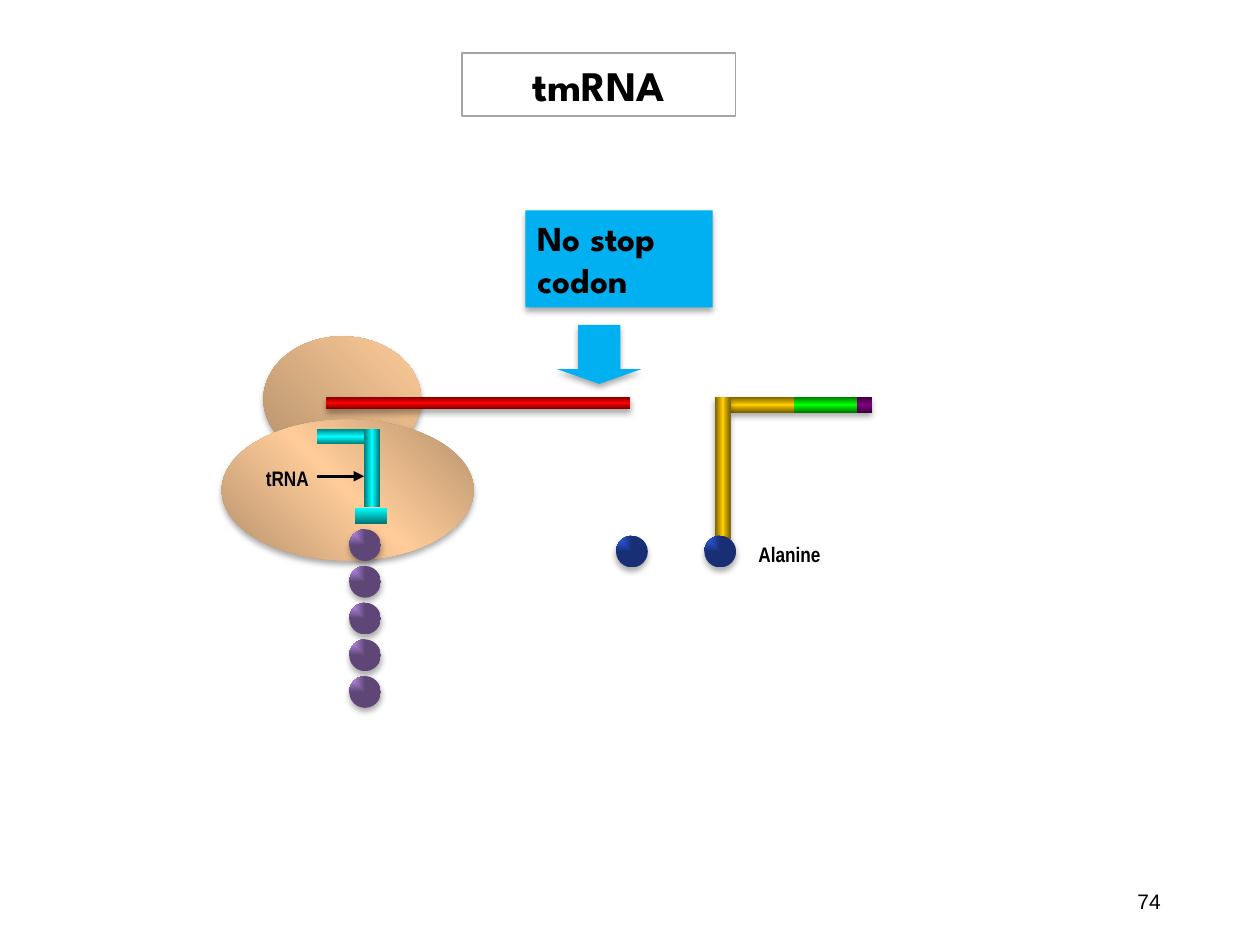
from dataclasses import dataclass

from pptx import Presentation
from pptx.dml.color import RGBColor
from pptx.enum.shapes import MSO_CONNECTOR as Connector, MSO_SHAPE as Shape
from pptx.enum.text import MSO_ANCHOR as Anchor, PP_ALIGN as Align
from pptx.oxml import parse_xml
from pptx.oxml.ns import nsdecls, qn
from pptx.util import Cm, Pt

BLACK, SKY = "000000", "00B0F0"
HEADING, LABEL = "League Spartan", "Arial Narrow"
ACROSS, DOWN, RISING = 0, 90, 315
BALL, BAR = 0.64, 0.32


@dataclass(frozen=True)
class Gradient:
    colors: tuple[str, ...]
    angle: int | None = None


@dataclass(frozen=True)
class Part:
    left: float
    top: float
    width: float
    height: float
    fill: Gradient | str
    kind: Shape = Shape.RECTANGLE
    shadow: bool = False


def rgb(color: str) -> RGBColor:
    return RGBColor.from_string(color)


def tube(dark: str, light: str, angle: int) -> Gradient:
    return Gradient((dark, light, dark), angle)


def ball(left: float, top: float, fill: Gradient) -> Part:
    return Part(left, top, BALL, BALL, fill, Shape.OVAL, True)


def fill_gradient(shape, gradient: Gradient) -> None:
    last = len(gradient.colors) - 1
    stops = "".join(
        f'<a:gs pos="{100000 * index // last}"><a:srgbClr val="{color}"/></a:gs>'
        for index, color in enumerate(gradient.colors)
    )
    if gradient.angle is None:
        direction = '<a:path path="rect"><a:fillToRect r="100000" b="100000"/></a:path>'
    else:
        direction = f'<a:lin ang="{gradient.angle * 60000}" scaled="0"/>'
    geometry = shape.element.spPr.find(qn("a:prstGeom"))
    geometry.addnext(parse_xml(
        f'<a:gradFill {nsdecls("a")} rotWithShape="1">'
        f"<a:gsLst>{stops}</a:gsLst>{direction}</a:gradFill>"
    ))


def draw_part(page, part: Part):
    shape = page.shapes.add_shape(
        part.kind, Cm(part.left), Cm(part.top), Cm(part.width), Cm(part.height)
    )
    if isinstance(part.fill, Gradient):
        fill_gradient(shape, part.fill)
    else:
        shape.fill.solid()
        shape.fill.fore_color.rgb = rgb(part.fill)
    shape.line.fill.background()
    shape.shadow.inherit = False
    if part.shadow:
        shape.element.spPr.find(qn("a:effectLst")).append(parse_xml(
            f'<a:outerShdw {nsdecls("a")} blurRad="{Pt(3.5)}" dist="{Pt(2.2)}" '
            f'dir="5400000" rotWithShape="0"><a:srgbClr val="{BLACK}">'
            '<a:alpha val="32000"/></a:srgbClr></a:outerShdw>'
        ))
    return shape


def write(shape, text: str, font: str, size: float, bold: bool = True,
          align: Align = Align.LEFT, anchor: Anchor = Anchor.TOP) -> None:
    frame = shape.text_frame
    frame.word_wrap = True
    frame.vertical_anchor = anchor
    frame.text = text
    para = frame.paragraphs[0]
    para.alignment = align
    para.font.name = font
    para.font.size = Pt(size)
    para.font.bold = bold
    para.font.color.rgb = rgb(BLACK)


def add_box(page, left: float, top: float, width: float, height: float):
    return page.shapes.add_textbox(Cm(left), Cm(top), Cm(width), Cm(height))


def add_arrow(page, left: float, right: float, y: float) -> None:
    arrow = page.shapes.add_connector(
        Connector.STRAIGHT, Cm(left), Cm(y), Cm(right), Cm(y)
    )
    arrow.line.color.rgb = rgb(BLACK)
    arrow.line.width = Pt(1.5)
    arrow.line._get_or_add_ln().append(
        parse_xml(f'<a:tailEnd {nsdecls("a")} type="triangle"/>')
    )
    arrow.element.spPr.append(parse_xml(f'<a:effectLst {nsdecls("a")}/>'))


def add_title(page) -> None:
    title = page.shapes.title
    title.left, title.top = Cm(9.32), Cm(1.07)
    title.width, title.height = Cm(5.51), Cm(1.27)
    title.fill.solid()
    title.fill.fore_color.rgb = rgb("FFFFFF")
    title.line.color.rgb = rgb("A5A5A5")
    title.line.width = Pt(1)
    write(title, "tmRNA", HEADING, 24, align=Align.CENTER)


def main() -> None:
    deck = Presentation()
    deck.slide_width, deck.slide_height = Cm(25.4), Cm(19.05)
    page = deck.slides.add_slide(deck.slide_layouts[5])
    add_title(page)

    purple = Gradient(("CC99FF", "5E4776"))
    blue = Gradient(("3366FF", "182F76"))
    ribosome = [
        Part(5.31, 6.78, 3.18, 2.54, Gradient(("B6926D", "FFCC99"), RISING), Shape.OVAL, True),
        Part(4.47, 8.46, 5.08, 2.84, tube("B6926D", "FFCC99", RISING), Shape.OVAL, True),
    ]
    trna = [
        Part(6.4, 8.64, 0.97, BAR, tube("007676", "00FFFF", DOWN)),
        Part(7.34, 8.64, BAR, 1.59, tube("007676", "00FFFF", ACROSS)),
        Part(7.16, 10.24, 0.64, BAR, Gradient(("00FFFF", "007676"), DOWN)),
    ]
    peptide = [ball(7.04, 10.67 + 0.74 * index, purple) for index in range(5)]
    mrna = [Part(6.58, 8, 6.12, 0.25, tube("760000", "FF0000", DOWN), shadow=True)]
    tmrna = [
        Part(14.73, 8, 2.84, BAR, tube("765E00", "FFCC00", DOWN), shadow=True),
        Part(14.41, 8, BAR, 2.86, tube("765E00", "FFCC00", ACROSS), shadow=True),
        Part(17.27, 8, BAR, BAR, tube("3B003B", "800080", DOWN)),
        Part(16, 8, 1.27, BAR, tube("007600", "00FF00", DOWN)),
    ]
    alanines = [ball(left, 10.8, blue) for left in (14.2, 12.42)]
    for part in ribosome + trna + peptide + mrna + tmrna + alanines:
        draw_part(page, part)

    write(add_box(page, 5.11, 9.27, 1.9, 0.64), "tRNA", LABEL, 12)
    add_arrow(page, 6.4, 7.34, 9.6)
    write(add_box(page, 15.04, 10.8, 1.9, 0.64), "Alanine", LABEL, 12)

    callout = draw_part(page, Part(10.59, 4.24, 3.78, 1.96, SKY, shadow=True))
    write(callout, "No stop codon", HEADING, 20)
    pointer = draw_part(page, Part(11.23, 6.55, 1.7, 1.19, SKY, Shape.DOWN_ARROW, True))
    pointer.adjustments[0], pointer.adjustments[1] = 0.5, 0.25

    write(add_box(page, 17.93, 17.65, 5.72, 1.02), "74", "Arial", 12,
          bold=False, align=Align.RIGHT, anchor=Anchor.MIDDLE)
    deck.save("out.pptx")


if __name__ == "__main__":
    main()
